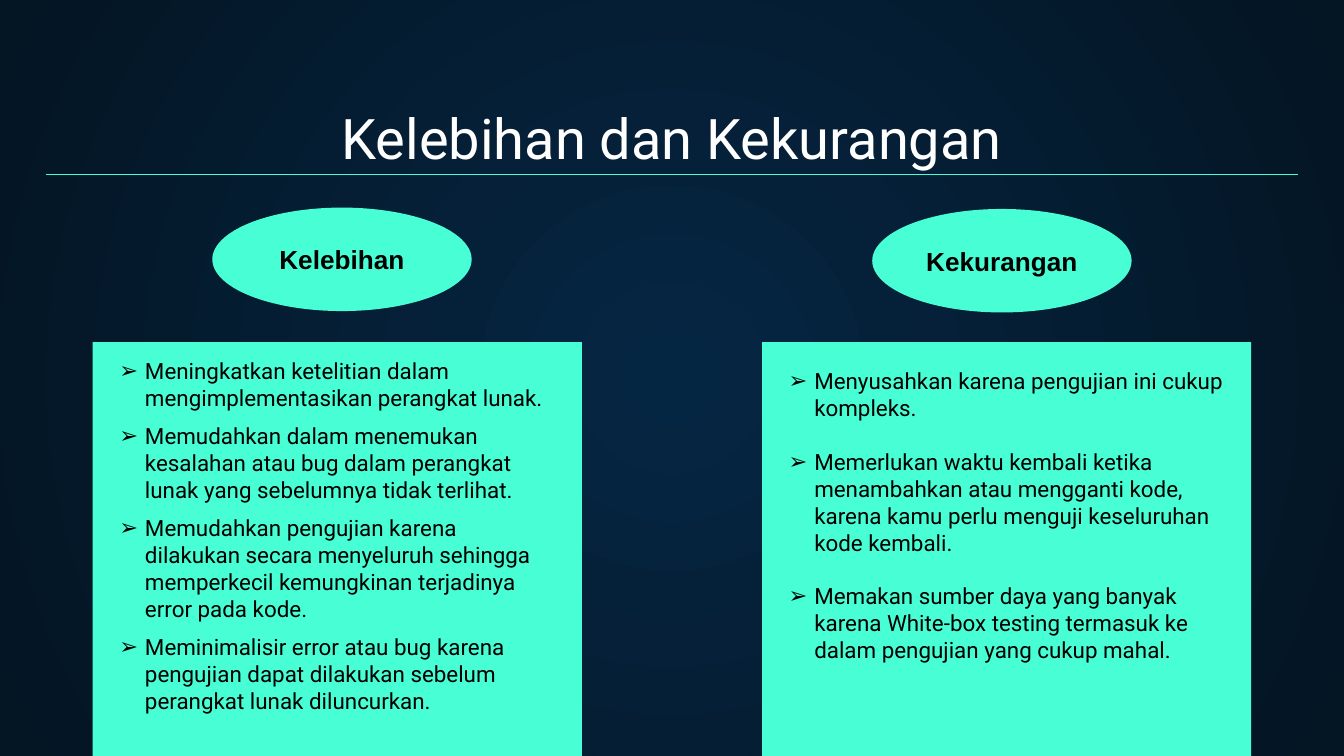
from lxml import etree
from pptx import Presentation
from pptx.dml.color import RGBColor
from pptx.enum.shapes import MSO_CONNECTOR, MSO_SHAPE
from pptx.enum.text import MSO_ANCHOR, PP_ALIGN
from pptx.oxml.ns import qn
from pptx.util import Inches, Pt

RECT, OVAL = MSO_SHAPE.RECTANGLE, MSO_SHAPE.OVAL
STRAIGHT = MSO_CONNECTOR.STRAIGHT
TOP, MIDDLE, BOTTOM = MSO_ANCHOR.TOP, MSO_ANCHOR.MIDDLE, MSO_ANCHOR.BOTTOM
LEFT, CENTER = PP_ALIGN.LEFT, PP_ALIGN.CENTER

COLORS = {
    "center": "052643",
    "edge": "041523",
    "accent": "48FFD5",
    "title": "FFFFFF",
    "text": "000000",
}
SLIDE_W = 10
SLIDE_H = SLIDE_W * 9 / 16
CARD_W, CARD_H = 3.64, 3.08
CARD_Y = SLIDE_H - CARD_H
OVAL_W, OVAL_H = 1.93, 0.77

COLUMNS = [
    {
        "box": (0.69, CARD_Y, CARD_W, CARD_H),
        "heading": "Kelebihan",
        "heading_offset": (0.89, -1),
        "list_offset": 0.01,
        "gap": 6.1,
        "items": [
            "Meningkatkan ketelitian dalam mengimplementasikan perangkat lunak.",
            "Memudahkan dalam menemukan kesalahan atau bug dalam perangkat lunak "
            "yang sebelumnya tidak terlihat.",
            "Memudahkan pengujian karena dilakukan secara menyeluruh sehingga "
            "memperkecil kemungkinan terjadinya error pada kode.",
            "Meminimalisir error atau bug karena pengujian dapat dilakukan sebelum "
            "perangkat lunak diluncurkan.",
        ],
    },
    {
        "box": (5.67, CARD_Y, CARD_W, CARD_H),
        "heading": "Kekurangan",
        "heading_offset": (0.82, -0.99),
        "list_offset": 0.09,
        "gap": 14.4,
        "items": [
            "Menyusahkan karena pengujian ini cukup kompleks.",
            "Memerlukan waktu kembali ketika menambahkan atau mengganti kode, "
            "karena kamu perlu menguji keseluruhan kode kembali.",
            "Memakan sumber daya yang banyak karena White-box testing termasuk ke "
            "dalam pengujian yang cukup mahal.",
        ],
    },
]


def rgb(name):
    """Return the named palette colour."""
    return RGBColor.from_string(COLORS[name])


def set_background(slide):
    """Fill the background with a gradient radiating from the centre."""
    fill = slide.background.fill
    fill.gradient()
    for stop, name in zip(fill.gradient_stops, ("center", "edge")):
        stop.color.rgb = rgb(name)
    grad = slide.element.find(".//" + qn("a:gradFill"))
    grad.remove(grad.find(qn("a:lin")))
    radial = etree.SubElement(grad, qn("a:path"), path="circle")
    etree.SubElement(radial, qn("a:fillToRect"), l="50000", t="50000", r="50000", b="50000")


def write_text(sp, lines, size, color, font="Roboto", bold=False, align=CENTER, anchor=TOP):
    """Write one paragraph per line in a single style and return the paragraphs."""
    tf = sp.text_frame
    tf.word_wrap = True
    tf.vertical_anchor = anchor
    tf.margin_left = tf.margin_right = tf.margin_top = tf.margin_bottom = Inches(0.1)
    tf.text = "\n".join(lines)
    for p in tf.paragraphs:
        p.alignment = align
        for r in p.runs:
            r.font.name, r.font.size, r.font.bold = font, Pt(size), bold
            r.font.color.rgb = rgb(color)
    return tf.paragraphs


def add_filled(slide, kind, x, y, w, h):
    """Add a flat accent-coloured shape."""
    sp = slide.shapes.add_shape(kind, Inches(x), Inches(y), Inches(w), Inches(h))
    sp.shadow.inherit = False
    sp.fill.solid()
    sp.fill.fore_color.rgb = rgb("accent")
    sp.line.fill.background()
    return sp


def add_header(slide, x, y, w, h):
    """Add the slide title with a rule beneath it."""
    sp = slide.shapes.add_textbox(Inches(x), Inches(y), Inches(w), Inches(h))
    write_text(sp, ["Kelebihan dan Kekurangan"], 30, "title", anchor=BOTTOM)
    rule_y = Inches(y + 0.59)
    rule = slide.shapes.add_connector(STRAIGHT, Inches(x), rule_y, Inches(x + w), rule_y)
    rule.line.color.rgb = rgb("accent")
    rule.line.width = Pt(0.75)
    etree.SubElement(rule.element.spPr, qn("a:effectLst"))


def add_bullets(slide, x, y, w, h, items, gap):
    """Add an arrow-bulleted list with a gap in points between items."""
    sp = slide.shapes.add_textbox(Inches(x), Inches(y), Inches(w), Inches(h))
    paragraphs = write_text(sp, items, 12, "text", align=LEFT)
    indent = Inches(0.19)
    for p in paragraphs:
        p.space_after = Pt(gap)
        pPr = p._p.get_or_add_pPr()
        pPr.set("marL", str(indent))
        pPr.set("indent", str(-indent))
        etree.SubElement(pPr, qn("a:buFont"), typeface="Arial")
        etree.SubElement(pPr, qn("a:buChar"), char="➢")


def add_column(slide, column):
    """Add a card with its bulleted list and the oval heading above it."""
    x, y, w, h = column["box"]
    add_filled(slide, RECT, x, y, w, h)
    add_bullets(slide, x + 0.1, y + column["list_offset"], w - 0.19, h - 0.26,
                column["items"], column["gap"])
    dx, dy = column["heading_offset"]
    oval = add_filled(slide, OVAL, x + dx, y + dy, OVAL_W, OVAL_H)
    write_text(oval, [column["heading"]], 14, "text", "Arial", True, anchor=MIDDLE)


def main():
    """Build and save the presentation."""
    prs = Presentation()
    prs.slide_width, prs.slide_height = Inches(SLIDE_W), Inches(SLIDE_H)
    slide = prs.slides.add_slide(prs.slide_layouts[6])
    set_background(slide)
    add_header(slide, 0.34, 0.71, 9.32, 0.66)
    for column in COLUMNS:
        add_column(slide, column)
    prs.save("out.pptx")


if __name__ == "__main__":
    main()
